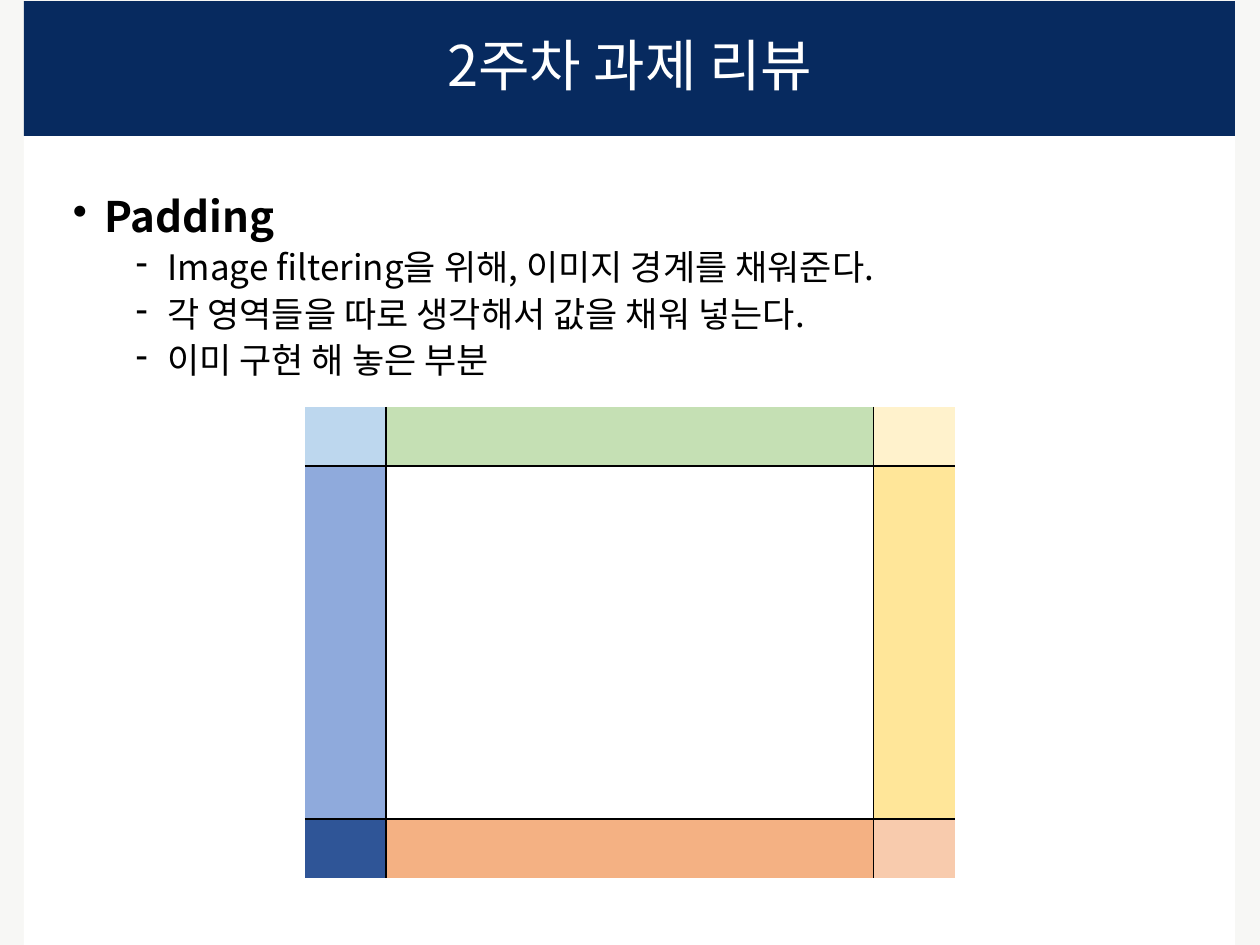
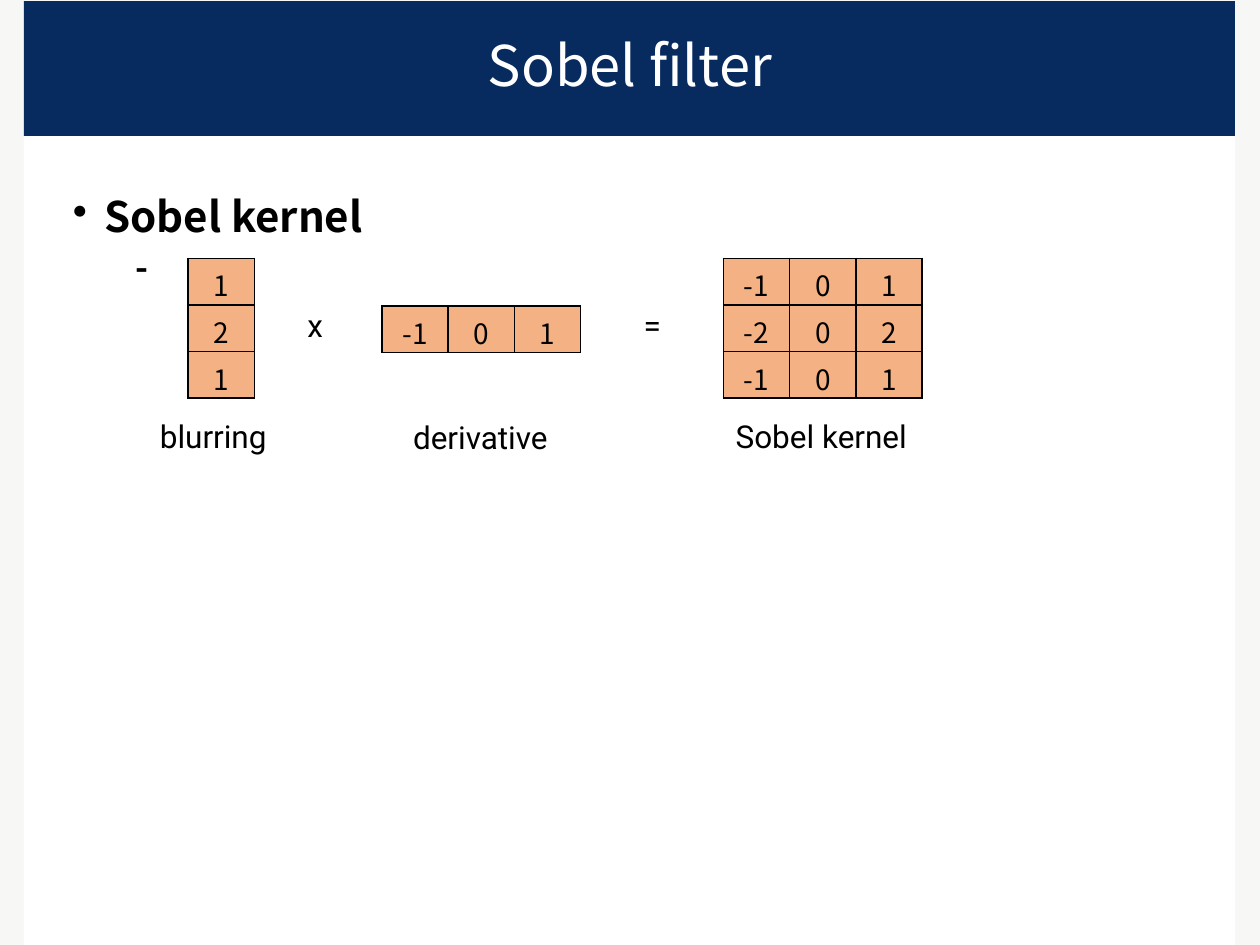
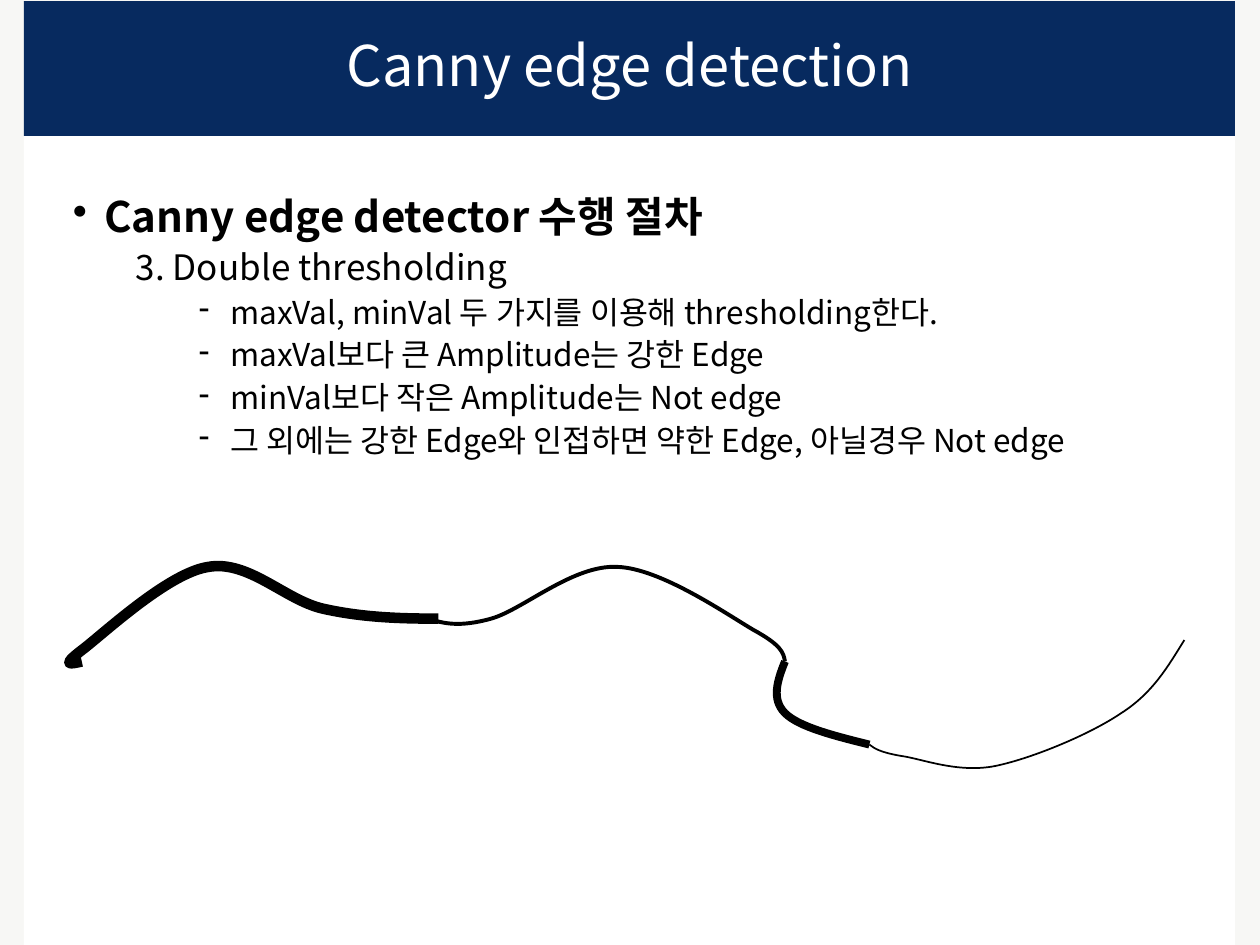
from collections import namedtuple

from lxml.etree import SubElement
from pptx import Presentation
from pptx.dml.color import RGBColor
from pptx.enum.shapes import MSO_SHAPE
from pptx.enum.text import MSO_ANCHOR, MSO_AUTO_SIZE, PP_ALIGN
from pptx.oxml.ns import qn
from pptx.oxml.xmlchemy import OxmlElement
from pptx.util import Inches, Pt

COLS, ROWS, UNIT = 100, 75, Inches(0.1)
FONT, LABEL_FONT = "Noto Sans CJK KR", "Roboto"
PAPER, WHITE, NAVY, BLACK, ORANGE = "F7F7F5", "FFFFFF", "072A5F", "000000", "F4B183"

Level = namedtuple("Level", "depth left hang size bold before bullet")
LEVELS = {
    "heading": Level(0, 2.5, 2.5, 24, True, 10, "•"),
    "item": Level(1, 7.5, 2.5, 20, False, 5, "-"),
    "step": Level(1, 5, 0, 20, False, 5, None),
    "mark": Level(1, 5, 0, 20, True, 5, None),
    "detail": Level(2, 12.5, 2.5, 18, False, 5, "-"),
}

PADDING_ZONES = [
    ["BDD7EE", "C5E0B4", "FFF2CC"],
    ["8FAADC", None, "FFE699"],
    ["2F5597", ORANGE, "F8CBAD"],
]

EDGES = [
    (6, [(6.5, 52.5), (5.6, 52.7), (4.8, 52.9), (6.5, 51.6), (8.1, 50.4), (13.3, 45.5),
         (16.5, 45), (19.7, 44.4), (22.6, 47.6), (25.6, 48.3), (28.7, 49), (31.7, 49.1),
         (34.8, 49.1)]),
    (2.25, [(34, 49.1), (35.2, 49.5), (36.5, 49.8), (39, 49.1), (41.5, 48.4), (45.5, 44.8),
            (49, 45), (52.4, 45.1), (57.6, 48.7), (59.8, 50), (62, 51.2), (62.2, 51.8),
            (62.3, 52.5)]),
    (4.5, [(62.3, 52.5), (61.7, 54), (61.2, 55.5), (62.3, 56.6), (63.4, 57.7), (66.2, 58.4),
           (69, 59.1)]),
    (1, [(69, 59.1), (69.4, 59.4), (69.8, 59.7), (71.5, 60), (73.1, 60.2), (76, 61.4),
         (79, 60.8), (81.9, 60.2), (86.5, 58.3), (89, 56.6), (91.5, 55), (92.7, 52.9),
         (94, 50.8)]),
]


def color(value):
    return RGBColor.from_string(value)


def grid(*values):
    return [round(v * UNIT) for v in values]


class Deck:
    """Lecture slides in one style, measured in columns and rows of a 100 by 75 grid."""

    def __init__(self):
        self.prs = Presentation()
        self.prs.slide_width, self.prs.slide_height = grid(COLS, ROWS)

    def slide(self, title):
        self.s = self.prs.slides.add_slide(self.prs.slide_layouts[6])
        fill = self.s.background.fill
        fill.solid()
        fill.fore_color.rgb = color(PAPER)
        self.band((1.9, 10.7, 96.1, 64.3), WHITE)
        self.band((1.9, 0.1, 96.1, 10.7), NAVY)
        tf = self.textbox((4.7, 2.1, 90.6, 6.7))
        tf.vertical_anchor = MSO_ANCHOR.MIDDLE
        p = tf.paragraphs[0]
        p.alignment, p.line_spacing = PP_ALIGN.CENTER, 0.9
        self.text(p, title, 32, WHITE)

    def band(self, box, fill):
        sp = self.s.shapes.add_shape(MSO_SHAPE.RECTANGLE, *grid(*box))
        sp.shadow.inherit = False
        sp.fill.solid()
        sp.fill.fore_color.rgb = color(fill)
        sp.line.fill.background()

    def textbox(self, box):
        tf = self.s.shapes.add_textbox(*grid(*box)).text_frame
        tf.word_wrap = True
        return tf

    def text(self, p, text, size, ink=BLACK, font=FONT, bold=False):
        p.add_run().text = text
        p.font.size, p.font.name, p.font.bold = Pt(size), font, bold
        p.font.color.rgb = color(ink)
        SubElement(p._p.pPr.find(qn("a:defRPr")), qn("a:ea"), typeface=font)

    def body(self, *lines):
        tf = self.textbox((4.8, 15.1, 90.5, 52.6))
        for i, (name, text) in enumerate(lines):
            level = LEVELS[name]
            p = tf.add_paragraph() if i else tf.paragraphs[0]
            p.level, p.line_spacing, p.space_before = level.depth, 0.9, Pt(level.before)
            self.text(p, text, level.size, bold=level.bold)
            pPr = p._p.pPr
            left, hang = grid(level.left, level.hang)
            pPr.set("marL", str(left))
            pPr.set("indent", str(-hang))
            if level.bullet:
                bullet = OxmlElement("a:buChar")
                bullet.set("char", level.bullet)
                pPr.find(qn("a:defRPr")).addprevious(bullet)

    def label(self, text, box):
        tf = self.textbox(box)
        tf.word_wrap = False
        tf.auto_size = MSO_AUTO_SIZE.SHAPE_TO_FIT_TEXT
        self.text(tf.paragraphs[0], text, 18, font=LABEL_FONT)

    def border(self, cell, sides):
        tcPr = cell._tc.get_or_add_tcPr()
        for i, (side, drawn) in enumerate(sides.items()):
            ln = OxmlElement(f"a:ln{side}")
            ln.set("w", str(Pt(1)))
            if drawn:
                fill = SubElement(ln, qn("a:solidFill"))
                SubElement(fill, qn("a:srgbClr"), val=BLACK)
            else:
                SubElement(ln, qn("a:noFill"))
            tcPr.insert(i, ln)

    def table(self, box, cells, ruled, bottom=0.5):
        shape = self.s.shapes.add_table(len(cells), len(cells[0]), *grid(*box))
        tbl = shape.table
        tbl.first_row = tbl.horz_banding = False
        for r, row in enumerate(cells):
            for c, (text, fill) in enumerate(row):
                cell = tbl.cell(r, c)
                cell.margin_bottom = grid(bottom)[0]
                if fill:
                    cell.fill.solid()
                    cell.fill.fore_color.rgb = color(fill)
                else:
                    cell.fill.background()
                self.border(cell, {"L": c in ruled, "R": c + 1 in ruled,
                                   "T": r in ruled, "B": r + 1 in ruled})
                if text:
                    p = cell.text_frame.paragraphs[0]
                    p.alignment = PP_ALIGN.CENTER
                    self.text(p, text, 16)

    def kernel(self, box, values, bottom=0.5):
        cells = [[(str(v), ORANGE) for v in row] for row in values]
        self.table(box, cells, range(4), bottom)

    def curve(self, points, width):
        start, *rest = [grid(*point) for point in points]
        builder = self.s.shapes.build_freeform(*start)
        builder.add_line_segments(rest, close=False)
        sp = builder.convert_to_shape()
        sp.shadow.inherit = False
        sp.fill.background()
        sp.line.color.rgb, sp.line.width = color(BLACK), Pt(width)
        segments = list(sp._element.iter(qn("a:lnTo")))
        for i in range(0, len(segments), 3):
            bezier = OxmlElement("a:cubicBezTo")
            segments[i].addprevious(bezier)
            for segment in segments[i:i + 3]:
                bezier.append(segment[0])
                segment.getparent().remove(segment)


def padding_slide(deck):
    deck.slide("2주차 과제 리뷰")
    deck.body(
        ("heading", "Padding"),
        ("item", "Image filtering을 위해, 이미지 경계를 채워준다."),
        ("item", "각 영역들을 따로 생각해서 값을 채워 넣는다."),
        ("item", "이미 구현 해 놓은 부분"),
    )
    zones = [0] + [1] * 6 + [2]
    cells = [[("", PADDING_ZONES[r][c]) for c in zones] for r in zones]
    deck.table((24.2, 32.3, 51.6, 37.4), cells, {1, 7})


def sobel_slide(deck):
    deck.slide("Sobel filter")
    deck.body(("heading", "Sobel kernel"), ("mark", "-"))
    blur, derivative = [1, 2, 1], [-1, 0, 1]
    deck.kernel((30.3, 24.3, 15.8, 2.8), [derivative])
    deck.kernel((14.9, 20.5, 5.3, 11.1), [[b] for b in blur])
    deck.kernel((57.4, 20.5, 15.8, 11.1), [[b * d for d in derivative] for b in blur], bottom=0)
    deck.label("x", (23.4, 23.8, 3.2, 4))
    deck.label("=", (50.1, 23.8, 3.8, 4))
    deck.label("blurring", (11.7, 32.6, 10.8, 4))
    deck.label("derivative", (31.8, 32.7, 12.7, 4))
    deck.label("Sobel kernel", (57.4, 32.6, 15.7, 4))


def canny_slide(deck):
    deck.slide("Canny edge detection")
    deck.body(
        ("heading", "Canny edge detector 수행 절차"),
        ("step", "3. Double thresholding"),
        ("detail", "maxVal, minVal 두 가지를 이용해 thresholding한다."),
        ("detail", "maxVal보다 큰 Amplitude는 강한 Edge"),
        ("detail", "minVal보다 작은 Amplitude는 Not edge"),
        ("detail", "그 외에는 강한 Edge와 인접하면 약한 Edge, 아닐경우 Not edge"),
    )
    for width, points in EDGES:
        deck.curve(points, width)


def main():
    deck = Deck()
    padding_slide(deck)
    sobel_slide(deck)
    canny_slide(deck)
    deck.prs.save("out.pptx")


if __name__ == "__main__":
    main()
